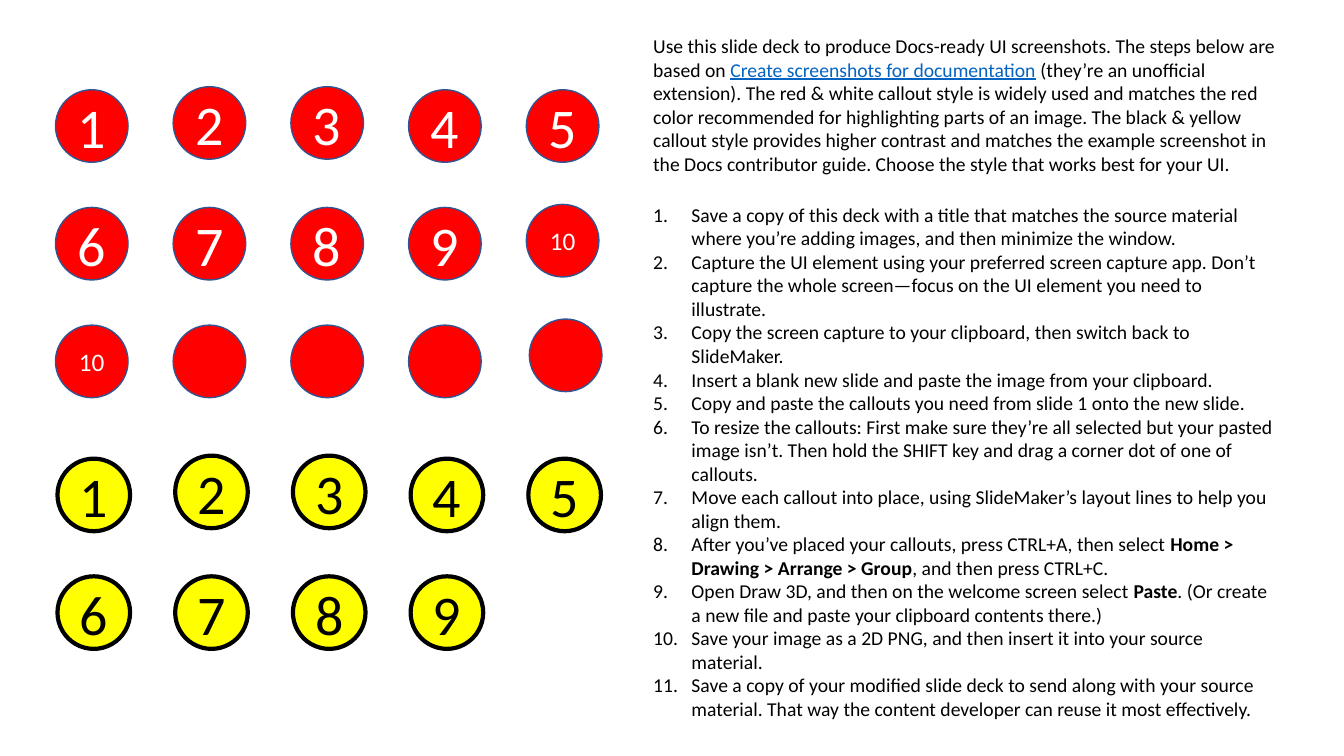
from dataclasses import dataclass
from lxml.etree import SubElement as Sub
from pptx import Presentation as Deck
from pptx.dml.color import RGBColor as RGB
from pptx.enum.shapes import MSO_SHAPE as Kind
from pptx.enum.text import MSO_ANCHOR as Anchor, MSO_AUTO_SIZE as Fit, PP_ALIGN as Align
from pptx.oxml.ns import qn
from pptx.util import Inches, Pt


@dataclass(frozen=True)
class Theme:
    font: str = "Calibri"
    red: str = "FF0000"
    yellow: str = "FFFF00"
    black: str = "000000"
    white: str = "FFFFFF"
    edge: str = "325491"
    link: str = "0563C1"
    body: float = 14
    digit: float = 40
    small: float = 18
    gap: float = 19.5


THEME = Theme()
SIZE = 0.72
PITCH = 4.67 / 4
INDENT = 0.38

# Small shifts of single callouts off the grid: (row, column) -> (x, y).
NUDGE = {(0, 1): (0, -0.03), (0, 2): (0, -0.03), (1, 4): (0, -0.03), (2, 4): (0.03, -0.06)}
REDS = ["12345", ["6", "7", "8", "9", "10"], ["10", "", "", "", ""]]
YELLOWS = ["12345", "6789"]

BOLD = {"bold": True}
LINK = {"color": THEME.link, "line": True}
INTRO = [
    "Use this slide deck to produce Docs-ready UI screenshots. The steps below are based on ",
    ("Create screenshots for documentation", LINK),
    " (they’re an unofficial extension). The red & white callout style is widely used and "
    "matches the red color recommended for highlighting parts of an image. The black & yellow "
    "callout style provides higher contrast and matches the example screenshot in the Docs "
    "contributor guide. Choose the style that works best for your UI.",
]
STEPS = [
    ["Save a copy of this deck with a title that matches the source material where you’re "
     "adding images, and then minimize the window."],
    ["Capture the UI element using your preferred screen capture app. Don’t capture the whole "
     "screen—focus on the UI element you need to illustrate."],
    ["Copy the screen capture to your clipboard, then switch back to SlideMaker."],
    ["Insert a blank new slide and paste the image from your clipboard."],
    ["Copy and paste the callouts you need from slide 1 onto the new slide."],
    ["To resize the callouts: First make sure they’re all selected but your pasted image isn’t. "
     "Then hold the SHIFT key and drag a corner dot of one of callouts."],
    ["Move each callout into place, using SlideMaker’s layout lines to help you align them."],
    ["After you’ve placed your callouts, press CTRL+A, then select ",
     ("Home > Drawing > Arrange > Group", BOLD), ", and then press CTRL+C."],
    ["Open Draw 3D, and then on the welcome screen select ", ("Paste", BOLD),
     ". (Or create a new file and paste your clipboard contents there.)"],
    ["Save your image as a 2D PNG, and then insert it into your source material."],
    ["Save a copy of your modified slide deck to send along with your source material. That way "
     "the content developer can reuse it most effectively."],
]


def write(para, text, size=THEME.body, color=THEME.black, bold=False, line=False):
    run = para.add_run()
    run.text = text
    font = run.font
    font.name, font.size = THEME.font, Pt(size)
    font.bold, font.underline = bold, line
    font.color.rgb = RGB.from_string(color)


def number(para):
    """Give the paragraph an automatic number and a hanging indent."""
    props = para._p.get_or_add_pPr()
    props.set("marL", str(Inches(INDENT)))
    props.set("indent", str(-Inches(INDENT)))
    Sub(props, qn("a:buFont"), typeface="+mj-lt")
    Sub(props, qn("a:buAutoNum"), type="arabicPeriod")


class Page:
    def __init__(self, slide, theme):
        self.slide, self.theme = slide, theme

    def badge(self, x, y, label, fill, edge, width, ink):
        dot = self.slide.shapes.add_shape(
            Kind.OVAL, Inches(x), Inches(y), Inches(SIZE), Inches(SIZE))
        dot.shadow.inherit = False
        dot.fill.solid()
        dot.fill.fore_color.rgb = RGB.from_string(fill)
        dot.line.color.rgb = RGB.from_string(edge)
        dot.line.width = Pt(width)
        if label:
            frame = dot.text_frame
            frame.vertical_anchor = Anchor.MIDDLE
            para = frame.paragraphs[0]
            para.alignment = Align.CENTER
            size = self.theme.digit if len(label) == 1 else self.theme.small
            write(para, label, size=size, color=ink)

    def grid(self, left, top, rows, **style):
        for r, row in enumerate(rows):
            for c, label in enumerate(row):
                dx, dy = NUDGE.get((r, c), (0, 0))
                self.badge(left + c * PITCH + dx, top + r * PITCH + dy, label, **style)

    def guide(self, x, y, w, h, intro, steps):
        """Place the opening paragraph and the numbered steps in one box."""
        box = self.slide.shapes.add_textbox(Inches(x), Inches(y), Inches(w), Inches(h))
        frame = box.text_frame
        frame.word_wrap = True
        frame.auto_size = Fit.SHAPE_TO_FIT_TEXT
        self.fill(frame.paragraphs[0], intro)
        for i, step in enumerate(steps):
            para = frame.add_paragraph()
            number(para)
            if i == 0:
                para.space_before = Pt(self.theme.gap)
            self.fill(para, step)

    def fill(self, para, parts):
        for part in parts:
            text, style = (part, {}) if isinstance(part, str) else part
            write(para, text, **style)


def main():
    deck = Deck()
    deck.slide_width, deck.slide_height = Inches(13.33), Inches(7.5)
    page = Page(deck.slides.add_slide(deck.slide_layouts[6]), THEME)
    page.grid(0.55, 0.89, REDS, fill=THEME.red, edge=THEME.edge, width=1, ink=THEME.white)
    page.guide(6.38, 0.29, 6.41, 6.73, INTRO, STEPS)
    page.grid(0.57, 4.55, YELLOWS, fill=THEME.yellow, edge=THEME.black, width=3, ink=THEME.black)
    deck.save("out.pptx")


if __name__ == "__main__":
    main()
